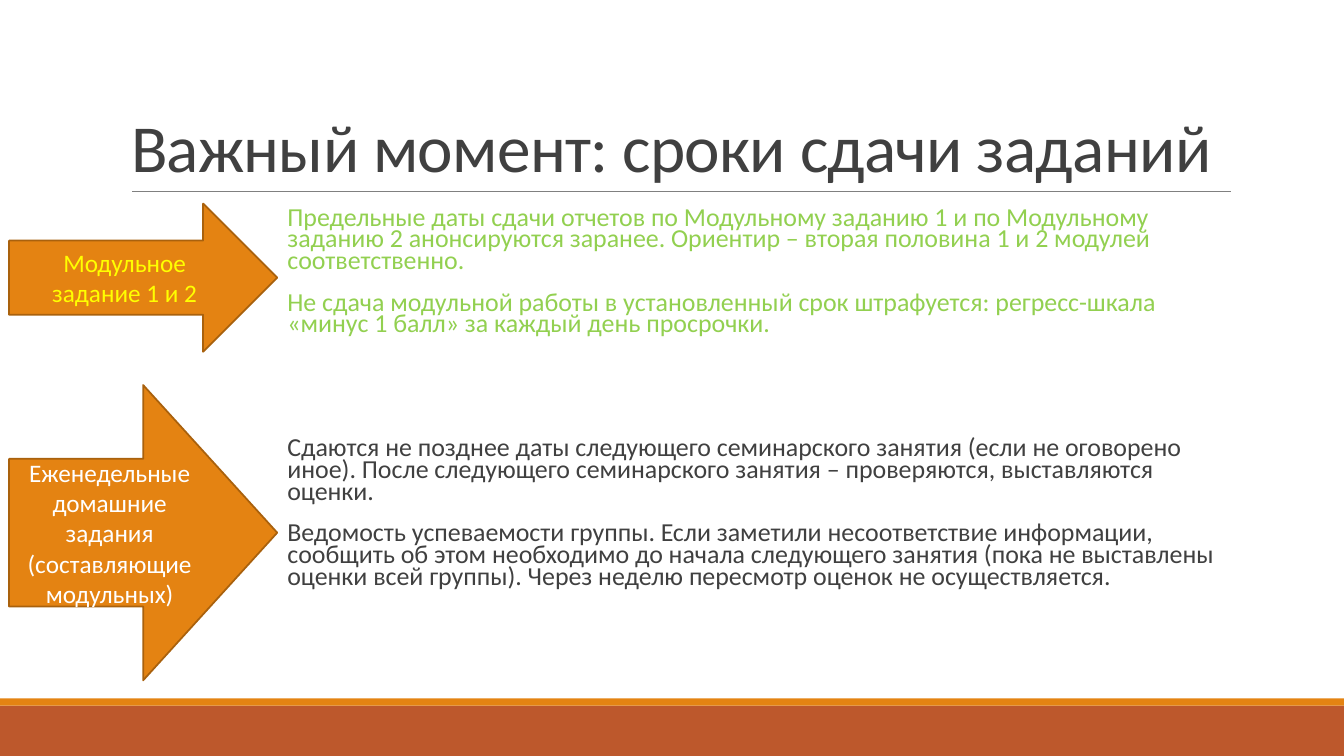
from lxml import etree
from pptx import Presentation
from pptx.dml.color import RGBColor
from pptx.enum.shapes import MSO_CONNECTOR, MSO_SHAPE
from pptx.enum.text import MSO_ANCHOR, MSO_AUTO_SIZE, PP_ALIGN
from pptx.oxml.ns import qn
from pptx.util import Inches, Pt

RECT, ARROW = MSO_SHAPE.RECTANGLE, MSO_SHAPE.RIGHT_ARROW
STRAIGHT = MSO_CONNECTOR.STRAIGHT
LEFT, CENTER = PP_ALIGN.LEFT, PP_ALIGN.CENTER
TOP, MIDDLE, BOTTOM = MSO_ANCHOR.TOP, MSO_ANCHOR.MIDDLE, MSO_ANCHOR.BOTTOM
FIXED = MSO_AUTO_SIZE.NONE

ORANGE = RGBColor(0xE4, 0x83, 0x12)
BROWN = RGBColor(0xA9, 0x61, 0x0D)
RUST = RGBColor(0xBD, 0x58, 0x2C)
GRAY = RGBColor(0x80, 0x80, 0x80)
DARK = RGBColor(0x40, 0x40, 0x40)
GREEN = RGBColor(0x92, 0xD0, 0x50)
YELLOW = RGBColor(0xFF, 0xFF, 0x00)
WHITE = RGBColor(0xFF, 0xFF, 0xFF)

WIDE, HIGH = 13.33, 7.5
TITLE = "Важный момент: сроки сдачи заданий"
# Text, colour, space before in points
RULES = [
    ("Предельные даты сдачи отчетов по Модульному заданию 1 и по Модульному "
     "заданию 2 анонсируются заранее. Ориентир – вторая половина 1 и 2 модулей "
     "соответственно.", GREEN, 0),
    ("Не сдача модульной работы в установленный срок штрафуется: регресс-шкала "
     "«минус 1 балл» за каждый день просрочки.", GREEN, 12),
    ("Сдаются не позднее даты следующего семинарского занятия (если не оговорено "
     "иное). После следующего семинарского занятия – проверяются, выставляются "
     "оценки.", DARK, 71),
    ("Ведомость успеваемости группы. Если заметили несоответствие информации, "
     "сообщить об этом необходимо до начала следующего занятия (пока не выставлены "
     "оценки всей группы). Через неделю пересмотр оценок не осуществляется.",
     DARK, 12),
]
# Text, colour, top, height
ARROWS = [
    ("Модульное задание 1 и 2", YELLOW, 2.02, 1.47),
    ("Еженедельные домашние задания (составляющие модульных)", WHITE, 3.82, 2.93),
]


def assign(item, **vals):
    for key, val in vals.items():
        setattr(item, key, val)


def place(shape, left, top, width, height):
    assign(shape, left=Inches(left), top=Inches(top),
           width=Inches(width), height=Inches(height))


def style(para, size, color, **vals):
    assign(para, **vals)
    assign(para.font, name="Calibri", size=Pt(size))
    para.font.color.rgb = color


def add_block(slide, kind, box, fill):
    shape = slide.shapes.add_shape(kind, *map(Inches, box))
    shape.shadow.inherit = False
    shape.fill.solid()
    shape.fill.fore_color.rgb = fill
    shape.line.fill.background()
    return shape


def add_footer(slide, top, height, strip):
    add_block(slide, RECT, (0, top, WIDE, height), RUST)
    add_block(slide, RECT, (0, top - strip, WIDE, strip), ORANGE)


def add_title(slide, left, top, width, height):
    """Fill the title and draw the rule along the foot of its box."""
    title = slide.shapes.title
    place(title, left, top, width, height)
    frame = title.text_frame
    assign(frame, text=TITLE, vertical_anchor=BOTTOM, auto_size=FIXED,
           word_wrap=True)
    para = frame.paragraphs[0]
    style(para, 48, DARK, alignment=LEFT, line_spacing=0.85)
    para.runs[0].font._element.set("spc", "-50")

    foot = top + height
    ends = (left + 0.11, foot, left + width + 0.01, foot)
    rule = slide.shapes.add_connector(STRAIGHT, *map(Inches, ends))
    rule.line.color.rgb = GRAY
    rule.line.width = Pt(0.5)
    etree.SubElement(rule._element.spPr, qn("a:effectLst"))


def add_rules(slide, *box):
    body = slide.placeholders[1]
    place(body, *box)
    frame = body.text_frame
    assign(frame, auto_size=FIXED, word_wrap=True, vertical_anchor=TOP,
           margin_left=0, margin_right=0,
           margin_top=Inches(0.05), margin_bottom=Inches(0.05))
    frame.text = "\n".join(text for text, _, _ in RULES)
    for para, (_, color, gap) in zip(frame.paragraphs, RULES):
        props = para._p.get_or_add_pPr()
        props.set("marL", str(Inches(0.1)))
        props.set("indent", "0")
        etree.SubElement(props, qn("a:buNone"))
        style(para, 18.5, color, alignment=LEFT, line_spacing=0.7,
              space_before=Pt(gap), space_after=Pt(2))


def add_arrow(slide, box, text, color):
    arrow = add_block(slide, ARROW, box, ORANGE)
    arrow.line.color.rgb = BROWN
    arrow.line.width = Pt(1.25)
    frame = arrow.text_frame
    assign(frame, text=text, word_wrap=True, vertical_anchor=MIDDLE)
    style(frame.paragraphs[0], 18, color, alignment=CENTER)


def main():
    deck = Presentation()
    assign(deck, slide_width=Inches(WIDE), slide_height=Inches(HIGH))
    slide = deck.slides.add_slide(deck.slide_layouts[1])
    add_footer(slide, 7, 0.5, 0.07)
    add_title(slide, 1.2, 0.31, 11, 1.59)
    add_rules(slide, 2.75, 2.02, 9.45, 4.32)
    for text, color, top, height in ARROWS:
        add_arrow(slide, (0.09, top, 2.66, height), text, color)
    deck.save("out.pptx")


if __name__ == "__main__":
    main()
